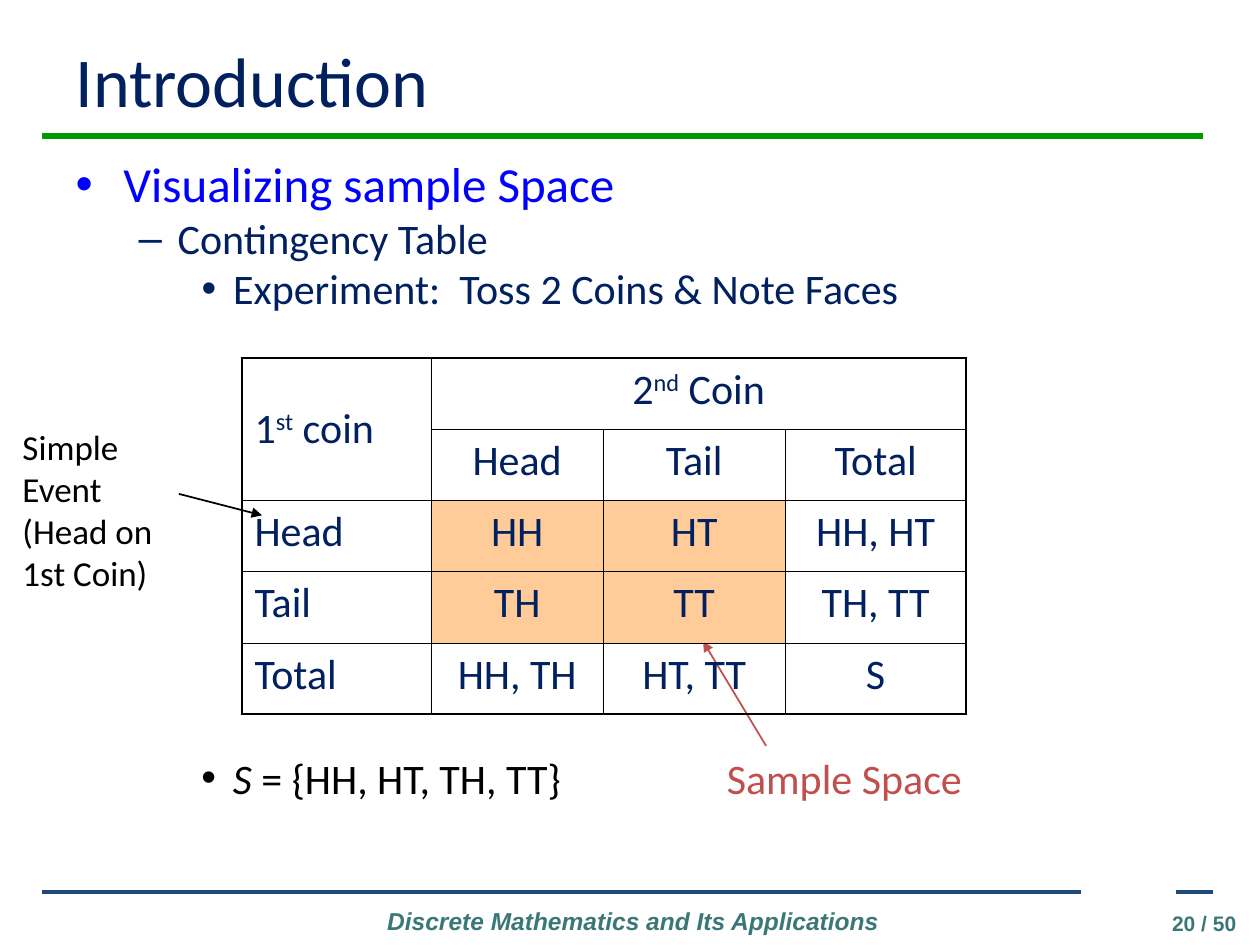
from dataclasses import dataclass

from lxml.etree import SubElement
from pptx import Presentation
from pptx.dml.color import RGBColor
from pptx.enum.shapes import MSO_CONNECTOR
from pptx.enum.text import MSO_ANCHOR, MSO_AUTO_SIZE, PP_ALIGN
from pptx.oxml import parse_xml
from pptx.oxml.ns import nsdecls, qn
from pptx.util import Inches, Pt


@dataclass(frozen=True)
class Theme:
    """Colours, fonts and type sizes of the slide."""
    navy: str = "002060"
    blue: str = "0000FF"
    black: str = "000000"
    red: str = "C0504D"
    teal: str = "3A7877"
    green: str = "009900"
    rule: str = "1F497D"
    peach: str = "FFCC99"
    body_font: str = "Calibri"
    footer_font: str = "Arial"
    title_size: int = 40
    lead_size: int = 28
    text_size: int = 24
    callout_size: int = 20
    footer_size: int = 14
    number_size: int = 12
    inner_border: float = 0.45
    outer_border: float = 1.08


THEME = Theme()


@dataclass(frozen=True)
class Box:
    """A rectangle in inches."""
    left: float
    top: float
    width: float
    height: float

    def lengths(self):
        """Return the four measures as lengths."""
        return [Inches(value) for value in (self.left, self.top, self.width, self.height)]


def write(para, text, size=THEME.text_size, color=THEME.navy, font=THEME.body_font,
          bold=False, italic=False, raised=False, align=PP_ALIGN.LEFT, before=0):
    """Append formatted text to a paragraph, breaking at line ends."""
    para.alignment = align
    para.space_before = Pt(before)
    for index, line in enumerate(text.split("\n")):
        if index:
            para.add_line_break()
        span = para.add_run()
        span.text = line
        span.font.name = font
        span.font.size = Pt(size)
        span.font.bold = bold
        span.font.italic = italic
        span.font.color.rgb = RGBColor.from_string(color)
        if raised:
            span._r.get_or_add_rPr().set("baseline", "30000")


def add_bullet(para, level, mark, color):
    """Give a paragraph its level, hanging indent and coloured bullet."""
    margin, hang = ((0.38, 0.38), (0.81, 0.31), (1.25, 0.25))[level]
    para.level = level
    properties = para._p.get_or_add_pPr()
    properties.set("marL", str(Inches(margin)))
    properties.set("indent", str(-Inches(hang)))
    tint = SubElement(properties, qn("a:buClr"))
    SubElement(tint, qn("a:srgbClr")).set("val", color)
    SubElement(properties, qn("a:buFont")).set("typeface", THEME.footer_font)
    SubElement(properties, qn("a:buChar")).set("char", mark)


def add_text_box(page, box, wrap=True, anchor=MSO_ANCHOR.TOP):
    """Add a text box and return its first paragraph."""
    frame = page.shapes.add_textbox(*box.lengths()).text_frame
    frame.word_wrap = wrap
    frame.auto_size = MSO_AUTO_SIZE.SHAPE_TO_FIT_TEXT
    frame.vertical_anchor = anchor
    return frame.paragraphs[0]


def add_line(page, start, end, color, width, arrow=False):
    """Draw a straight line, optionally with an arrowhead at its end."""
    points = [Inches(value) for value in (*start, *end)]
    line = page.shapes.add_connector(MSO_CONNECTOR.STRAIGHT, *points)
    line.line.color.rgb = RGBColor.from_string(color)
    line.line.width = Pt(width)
    if arrow:
        SubElement(line.line._get_or_add_ln(), qn("a:tailEnd")).set("type", "triangle")
    SubElement(line._element.spPr, qn("a:effectLst"))


def add_footer(page, box):
    """Place the split rule, the course name and the page number."""
    for start, end in ((0, 8.25), (9, box.width)):
        add_line(page, (box.left + start, box.top), (box.left + end, box.top), THEME.rule, 2.25)
    name = add_text_box(page, Box(box.left + 2.5, box.top + 0.06, 4.39, 0.34))
    write(name, "Discrete Mathematics and Its Applications", size=THEME.footer_size,
          color=THEME.teal, font=THEME.footer_font, bold=True, italic=True,
          align=PP_ALIGN.CENTER)
    number = add_text_box(page, Box(box.left + 8.56, box.top + 0.1, 1.02, 0.24))
    write(number, "20 / 50", size=THEME.number_size, color=THEME.teal,
          font=THEME.footer_font, bold=True, align=PP_ALIGN.RIGHT)


def add_title(page, box):
    """Fill the title placeholder and underline it."""
    title = page.shapes.title
    title.left, title.top, title.width, title.height = box.lengths()
    title.text_frame.auto_size = MSO_AUTO_SIZE.NONE
    title.text_frame.vertical_anchor = MSO_ANCHOR.MIDDLE
    write(title.text_frame.paragraphs[0], "Introduction", size=THEME.title_size)
    height = box.top + box.height + 0.06
    add_line(page, (box.left - 0.17, height), (box.left + box.width + 0.05, height),
             THEME.green, 3)


def add_outline(page, box):
    """Fill the body placeholder with the three-level list."""
    body = page.placeholders[1]
    body.left, body.top, body.width, body.height = box.lengths()
    frame = body.text_frame
    frame.auto_size = MSO_AUTO_SIZE.NONE
    items = (("Visualizing sample Space", "•", THEME.lead_size, THEME.blue),
             ("Contingency Table", "–", THEME.text_size, THEME.navy),
             ("Experiment:  Toss 2 Coins & Note Faces", "•", THEME.text_size, THEME.navy))
    for level, (text, mark, size, color) in enumerate(items):
        para = frame.paragraphs[0] if level == 0 else frame.add_paragraph()
        add_bullet(para, level, mark, color)
        write(para, text, size=size, color=color)


def add_borders(cell, outer_sides):
    """Draw the four borders of a cell, heavier on the outer sides."""
    properties = cell._tc.get_or_add_tcPr()
    for index, side in enumerate("LRTB"):
        width = Pt(THEME.outer_border if side in outer_sides else THEME.inner_border)
        properties.insert(index, parse_xml(
            f'<a:ln{side} {nsdecls("a")} w="{width}"><a:solidFill>'
            f'<a:srgbClr val="{THEME.black}"/></a:solidFill></a:ln{side}>'))


def add_contingency_table(page, box):
    """Build the two-coin table with its sample space shaded."""
    rows = (("1|st| coin", "2|nd| Coin", "", ""),
            ("", "Head", "Tail", "Total"),
            ("Head", "HH", "HT", "HH, HT"),
            ("Tail", "TH", "TT", "TH, TT"),
            ("Total", "HH, TH", "HT, TT", "S"))
    table = page.shapes.add_table(len(rows), len(rows[0]), *box.lengths()).table
    table.first_row = table.horz_banding = False
    for column, width in zip(table.columns, (1.5, 1.37, 1.44, 1.44)):
        column.width = Inches(width)
    table.cell(0, 0).merge(table.cell(1, 0))
    table.cell(0, 1).merge(table.cell(0, 3))
    table.cell(0, 0).vertical_anchor = MSO_ANCHOR.MIDDLE
    for row, texts in enumerate(rows):
        for column, text in enumerate(texts):
            cell = table.cell(row, column)
            if row in (2, 3) and column in (1, 2):
                cell.fill.solid()
                cell.fill.fore_color.rgb = RGBColor.from_string(THEME.peach)
            else:
                cell.fill.background()
            last_column = column + (cell.span_width if cell.is_merge_origin else 1)
            edges = {"L": column == 0, "R": last_column == len(texts),
                     "T": row == 0, "B": row == len(rows) - 1}
            add_borders(cell, [side for side, outer in edges.items() if outer])
            align = PP_ALIGN.CENTER if column else PP_ALIGN.LEFT
            for index, part in enumerate(text.split("|") if text else ()):
                write(cell.text_frame.paragraphs[0], part, raised=index == 1, align=align)


def add_event_callout(page, box):
    """Label a simple event and point at its table row."""
    para = add_text_box(page, box, wrap=False, anchor=MSO_ANCHOR.MIDDLE)
    write(para, "Simple\nEvent\n(Head on\n1st Coin)", size=THEME.callout_size,
          color=THEME.black)
    add_line(page, (box.left + 1.34, box.top + 0.59), (box.left + 2, box.top + 0.76),
             THEME.black, 1, arrow=True)


def add_sample_space_callout(page, box):
    """Label the sample space and point at the shaded cells."""
    write(add_text_box(page, box), "Sample Space", color=THEME.red)
    add_line(page, (box.left + 0.41, box.top), (box.left - 0.09, box.top - 0.83),
             THEME.red, 1, arrow=True)


def add_set_notation(page, box):
    """Write the sample space as a bulleted set."""
    para = add_text_box(page, box)
    add_bullet(para, 2, "•", THEME.black)
    write(para, "S", color=THEME.black, italic=True)
    write(para, " = {HH, HT, TH, TT}", color=THEME.black)


def main():
    """Build the slide and save the deck."""
    deck = Presentation()
    deck.slide_width, deck.slide_height = Inches(10), Inches(7.5)
    page = deck.slides.add_slide(deck.slide_layouts[1])
    add_footer(page, Box(0.33, 7.08, 9.3, 0.42))
    add_title(page, Box(0.5, 0.25, 9, 0.77))
    add_outline(page, Box(0.5, 1.17, 9, 1.37))
    add_sample_space_callout(page, Box(5.67, 5.92, 2.59, 0.5))
    add_contingency_table(page, Box(1.92, 2.84, 5.75, 2.83))
    add_event_callout(page, Box(0.08, 3.33, 1.68, 1.43))
    add_set_notation(page, Box(0.5, 5.92, 9, 0.5))
    deck.save("out.pptx")


if __name__ == "__main__":
    main()
